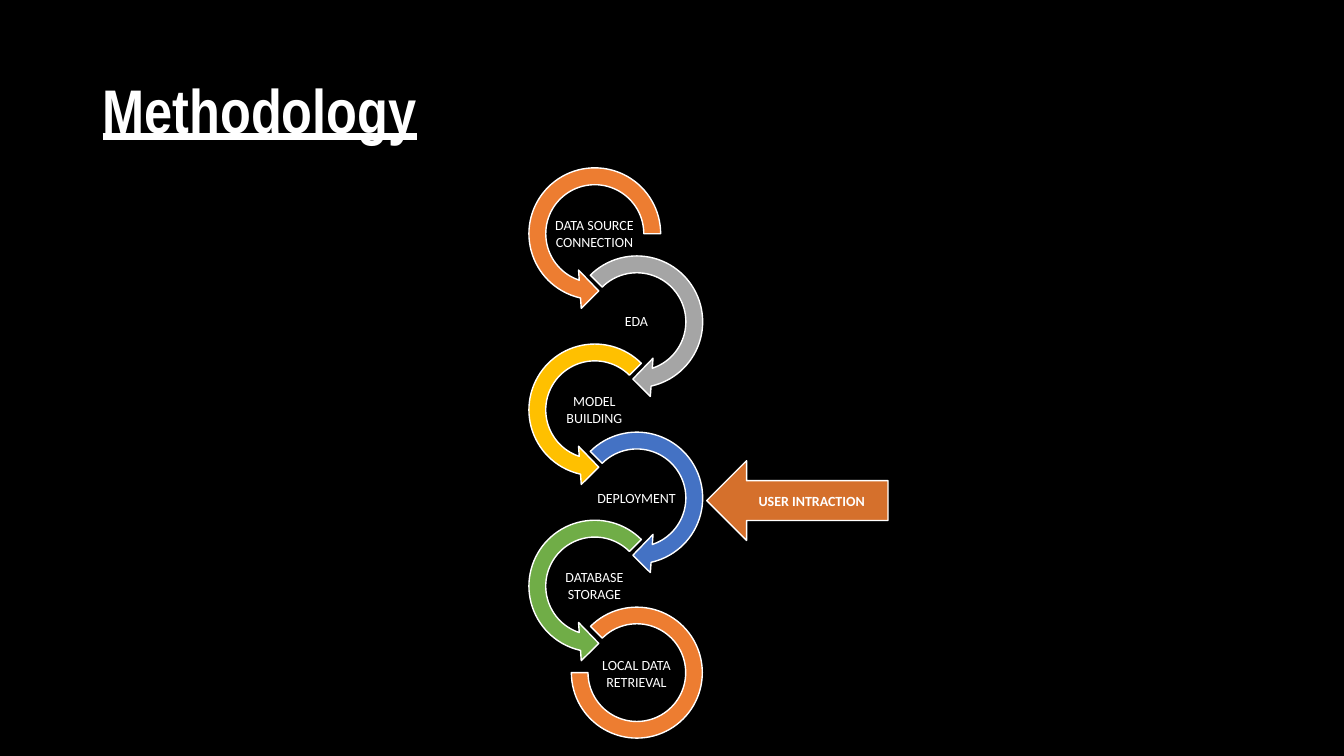
from dataclasses import dataclass

from lxml.etree import SubElement
from pptx import Presentation
from pptx.dml.color import RGBColor
from pptx.dml.fill import FillFormat
from pptx.enum.shapes import MSO_SHAPE
from pptx.enum.text import MSO_ANCHOR, MSO_AUTO_SIZE, PP_ALIGN
from pptx.oxml.ns import qn
from pptx.shapes.autoshape import Shape
from pptx.slide import Slide
from pptx.util import Cm, Pt

WHITE = "FFFFFF"
ORANGE = "ED7D31"
PITCH = 2.22
RING_LEFTS = (13.06, 14.12)
RING_TOP = 3.96
RING_SIZE = 3.86
ARC_SIZE = 3.3
LABEL_FORMAT = {"name": "Calibri", "size": Pt(10)}
TITLE_FORMAT = {"name": "Arial Narrow", "size": Pt(44), "bold": True, "underline": True}


@dataclass(frozen=True)
class Box:
    left: float
    top: float
    width: float
    height: float


@dataclass(frozen=True)
class Ring:
    preset: MSO_SHAPE
    adjustments: tuple[float, ...]
    inset: tuple[float, float] = (0, 0)
    size: float = RING_SIZE


@dataclass(frozen=True)
class Step:
    label: str
    color: str
    ring: Ring


def curved_arrow(preset: MSO_SHAPE, head: float, tail: float) -> Ring:
    return Ring(preset, (0.11, 11.42, head, tail, 0.125))


START = curved_arrow(MSO_SHAPE.LEFT_CIRCULAR_ARROW, 63, 0)
LEFT = curved_arrow(MSO_SHAPE.LEFT_CIRCULAR_ARROW, 63, 189)
RIGHT = curved_arrow(MSO_SHAPE.CIRCULAR_ARROW, 45, 135)
END = Ring(MSO_SHAPE.BLOCK_ARC, (135, 108, 0.127), (0.28, 0.24), ARC_SIZE)

STEPS = (
    Step("DATA SOURCE CONNECTION", ORANGE, START),
    Step("EDA", "A5A5A5", RIGHT),
    Step("MODEL BUILDING", "FFC000", LEFT),
    Step("DEPLOYMENT", "4472C4", RIGHT),
    Step("DATABASE STORAGE", "70AD47", LEFT),
    Step("LOCAL DATA RETRIEVAL", ORANGE, END),
)


def paint(fill: FillFormat, color: str) -> None:
    fill.solid()
    fill.fore_color.rgb = RGBColor.from_string(color)


def lengths(box: Box) -> tuple[Cm, Cm, Cm, Cm]:
    return Cm(box.left), Cm(box.top), Cm(box.width), Cm(box.height)


def write(holder: Shape, text: str, align: PP_ALIGN, formats: dict) -> None:
    frame = holder.text_frame
    frame.word_wrap = True
    frame.auto_size = MSO_AUTO_SIZE.NONE
    frame.vertical_anchor = MSO_ANCHOR.MIDDLE
    paragraph = frame.paragraphs[0]
    paragraph.alignment = align
    run = paragraph.add_run()
    run.text = text
    for attribute, value in formats.items():
        setattr(run.font, attribute, value)
    paint(run.font.fill, WHITE)


def add_title(slide: Slide, text: str, box: Box) -> None:
    title = slide.shapes.title
    title.left, title.top, title.width, title.height = lengths(box)
    write(title, text, PP_ALIGN.LEFT, TITLE_FORMAT)
    title.text_frame.paragraphs[0].line_spacing = 0.9


def add_outlined(slide: Slide, preset: MSO_SHAPE, box: Box, color: str) -> Shape:
    outlined = slide.shapes.add_shape(preset, *lengths(box))
    outlined.shadow.inherit = False
    paint(outlined.fill, color)
    paint(outlined.line.fill, WHITE)
    outlined.line.width = Pt(1)
    return outlined


def add_label(slide: Slide, text: str, box: Box, bold: bool = False) -> None:
    label = slide.shapes.add_textbox(*lengths(box))
    for side in ("left", "top", "right", "bottom"):
        setattr(label.text_frame, f"margin_{side}", Cm(0.02))
    write(label, text, PP_ALIGN.CENTER, LABEL_FORMAT | {"bold": bold})


def add_step(slide: Slide, index: int, step: Step) -> None:
    left = RING_LEFTS[index % 2]
    top = RING_TOP + index * PITCH
    ring = step.ring
    inset_x, inset_y = ring.inset
    box = Box(left + inset_x, top + inset_y, ring.size, ring.size)
    arrow = add_outlined(slide, ring.preset, box, step.color)
    for position, value in enumerate(ring.adjustments):
        arrow.adjustments[position] = value
    add_label(slide, step.label, Box(left + 0.84, top + 1.38, 2.16, 1.07))


def add_user_arrow(slide: Slide) -> None:
    arrow = add_outlined(slide, MSO_SHAPE.LEFT_ARROW, Box(17.81, 11.61, 4.57, 2.01), ORANGE)
    color = arrow.fill._xPr.find(qn("a:solidFill"))[0]
    SubElement(color, qn("a:alpha"), val="90000")
    add_label(slide, "USER INTRACTION", Box(18.59, 12.12, 3.73, 0.99), bold=True)


def main() -> None:
    deck = Presentation()
    deck.slide_width, deck.slide_height = Cm(33.87), Cm(19.05)
    slide = deck.slides.add_slide(deck.slide_layouts[5])
    paint(slide.background.fill, "000000")
    add_title(slide, "Methodology", Box(2.33, 1.01, 29.21, 3.68))
    for index, step in enumerate(STEPS):
        add_step(slide, index, step)
    add_user_arrow(slide)
    deck.save("out.pptx")


if __name__ == "__main__":
    main()
